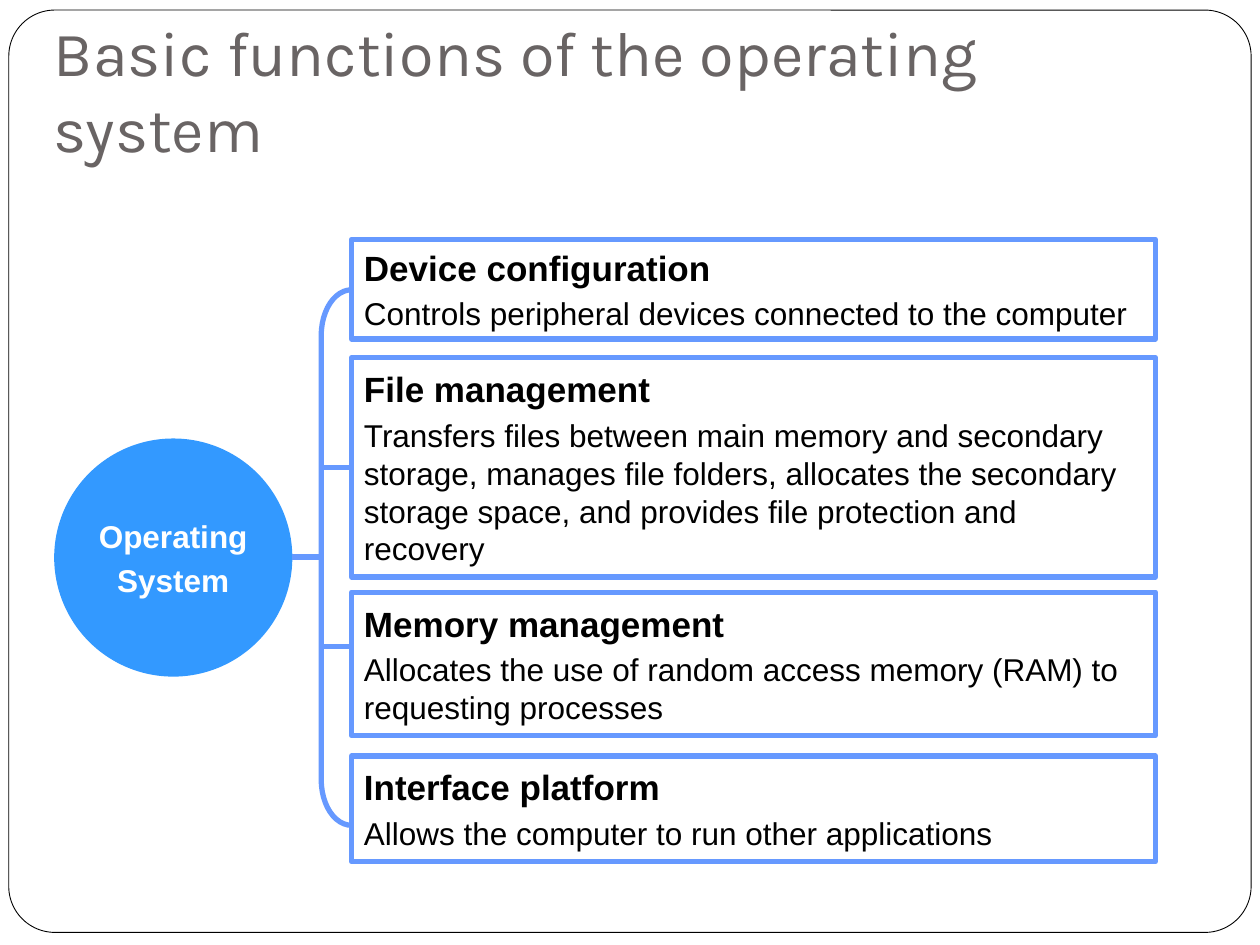
from pptx import Presentation
from pptx.dml.color import RGBColor
from pptx.enum.shapes import MSO_CONNECTOR, MSO_SHAPE
from pptx.enum.text import MSO_ANCHOR, PP_ALIGN
from pptx.oxml.ns import qn
from pptx.util import Pt
from lxml import etree

RECT, OVAL = MSO_SHAPE.RECTANGLE, MSO_SHAPE.OVAL
ROUND, BRACKET = MSO_SHAPE.ROUNDED_RECTANGLE, MSO_SHAPE.LEFT_BRACKET
STRAIGHT = MSO_CONNECTOR.STRAIGHT
MIDDLE, BOTTOM = MSO_ANCHOR.MIDDLE, MSO_ANCHOR.BOTTOM
LEFT, CENTER = PP_ALIGN.LEFT, PP_ALIGN.CENTER
PX = 9144  # 100 px to the inch
BLUE = "6699FF"


def paint(shape, fill, line, width):
    shape.shadow.inherit = False
    if fill:
        shape.fill.solid()
        shape.fill.fore_color.rgb = RGBColor.from_string(fill)
    else:
        shape.fill.background()
    if line:
        shape.line.color.rgb = RGBColor.from_string(line)
        shape.line.width = Pt(width)
    else:
        shape.line.fill.background()


def write(shape, text, styles, color, align, face="Arial", gap=3.6):
    frame = shape.text_frame
    frame.word_wrap = True
    frame.vertical_anchor = MIDDLE
    frame.text = text
    for para, (size, bold) in zip(frame.paragraphs, styles):
        para.alignment = align
        para.space_before = Pt(gap)
        font = para.runs[0].font
        font.name, font.size, font.bold = face, Pt(size), bold
        font.color.rgb = RGBColor.from_string(color)


prs = Presentation()
prs.slide_width, prs.slide_height = 1000 * PX, 750 * PX
slide = prs.slides.add_slide(prs.slide_layouts[6])
shapes = slide.shapes

# Slide frame
frame = shapes.add_shape(ROUND, 7 * PX, 8 * PX, 986 * PX, 732 * PX)
frame.adjustments[0] = 0.05
paint(frame, "FFFFFF", "000000", 0.5)

# Hub, its label kept on two unwrapped lines
hub = shapes.add_shape(OVAL, 43 * PX, 348 * PX, 189 * PX, 189 * PX)
paint(hub, "3399FF", None, 0)
write(hub, "Operating\nSystem", [(18, True)] * 2, "FFFFFF", CENTER)
hub.text_frame.word_wrap = False

# Function boxes: top, height, heading, detail
items = [
    (190, 79, "Device configuration",
     "Controls peripheral devices connected to the computer"),
    (284, 174, "File management",
     "Transfers files between main memory and secondary storage, manages file "
     "folders, allocates the secondary storage space, and provides file "
     "protection and recovery"),
    (470, 114, "Memory management",
     "Allocates the use of random access memory (RAM) to requesting processes"),
    (600, 84, "Interface platform",
     "Allows the computer to run other applications"),
]
boxes = []
for top, high, head, body in items:
    box = shapes.add_shape(RECT, 279 * PX, top * PX, 638 * PX, high * PX)
    paint(box, "FFFFFF", BLUE, 3)
    write(box, f"{head}\n{body}", [(20, True), (18, False)], "000000", LEFT)
    boxes.append(box)

# Bracket and its branches
brace = shapes.add_shape(BRACKET, 255 * PX, 230 * PX, 24 * PX, 425 * PX)
brace.adjustments[0] = 1.5
paint(brace, None, BLUE, 3)
for x1, x2, y, box in [(255, 279, 371, boxes[1]), (255, 279, 513, None),
                       (232, 255, 442, None)]:
    link = shapes.add_connector(STRAIGHT, x1 * PX, y * PX, x2 * PX, y * PX)
    link.line.color.rgb = RGBColor.from_string(BLUE)
    link.line.width = Pt(3)
    etree.SubElement(link._element.spPr, qn("a:effectLst"))
    if box:
        link.end_connect(box, 1)

# Title
title = shapes.add_textbox(33 * PX, 58 * PX, 892 * PX, 83 * PX)
write(title, "Basic functions of the operating system", [(36, False)],
      "696464", LEFT, "Karla", 0)
title.text_frame.vertical_anchor = BOTTOM
title.text_frame.margin_bottom = 10 * PX

prs.save("out.pptx")
